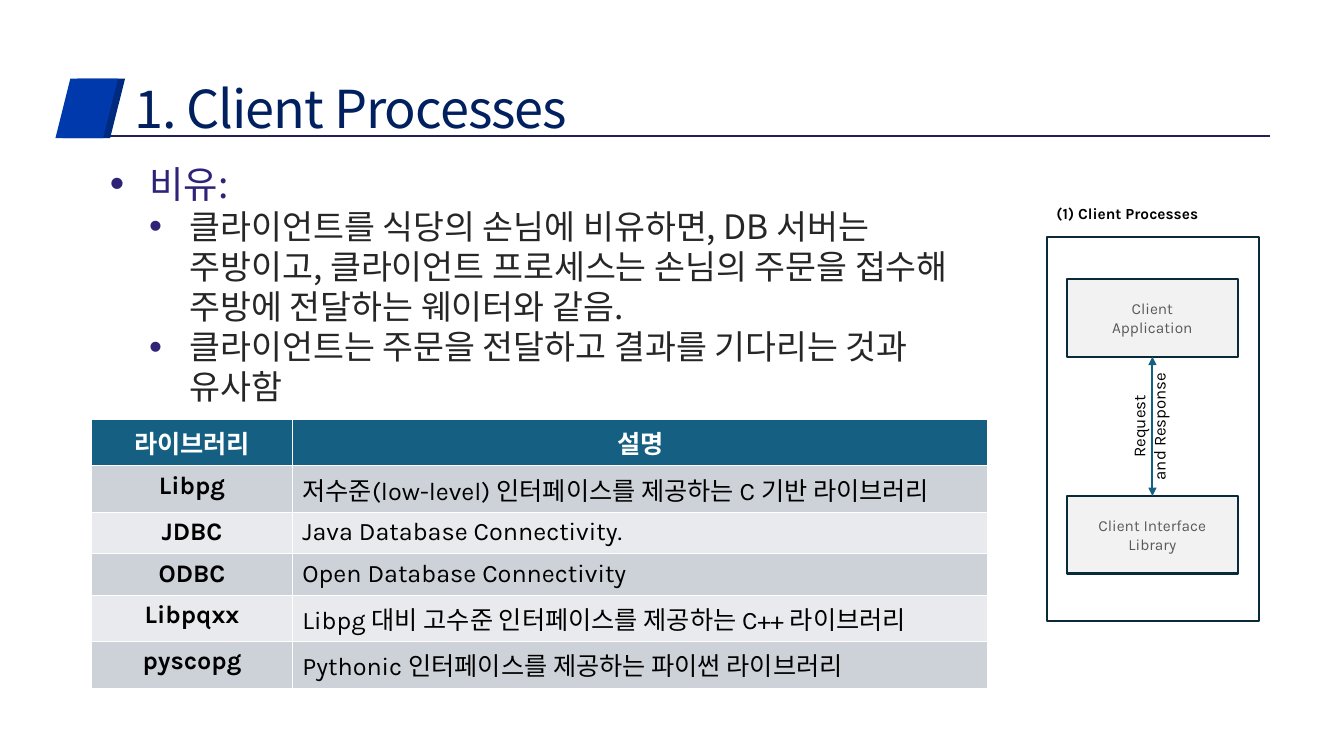
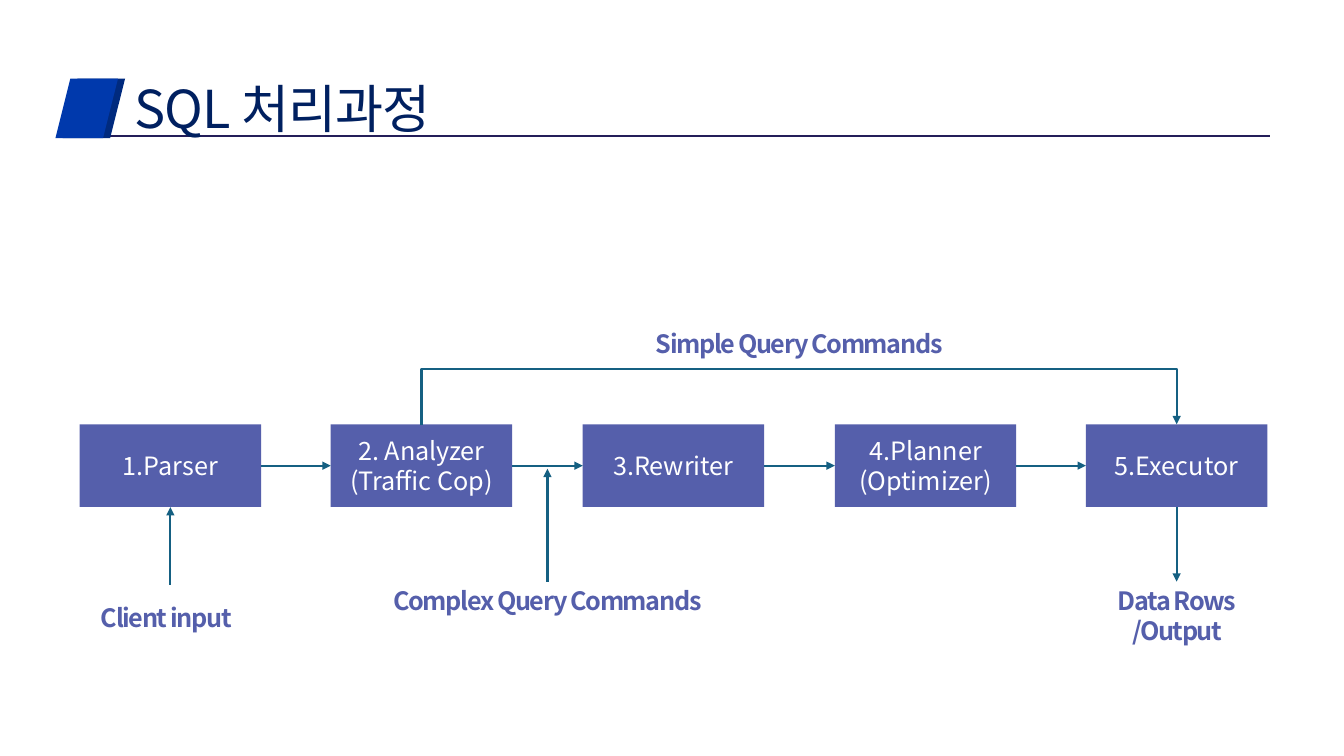
from dataclasses import dataclass

from lxml import etree
from pptx import Presentation
from pptx.dml.color import RGBColor
from pptx.enum.shapes import MSO_CONNECTOR, MSO_SHAPE
from pptx.enum.text import MSO_ANCHOR, MSO_AUTO_SIZE, PP_ALIGN
from pptx.oxml.ns import qn
from pptx.util import Pt

LEFT, CENTER = PP_ALIGN.LEFT, PP_ALIGN.CENTER
TOP, MIDDLE = MSO_ANCHOR.TOP, MSO_ANCHOR.MIDDLE
RECTANGLE, SLANT = MSO_SHAPE.RECTANGLE, MSO_SHAPE.PARALLELOGRAM
STRAIGHT, ELBOW = MSO_CONNECTOR.STRAIGHT, MSO_CONNECTOR.ELBOW
FIXED = MSO_AUTO_SIZE.NONE
EMU_PER_PX = 9144


@dataclass(frozen=True)
class Style:
    size: float
    color: str
    font: str
    bold: bool = False
    tracking: float = 0
    leading: float | None = None


class Theme:
    sans, latin = "Noto Sans CJK KR", "Karla"
    rule, slant_dark, slant = "241E59", "002A7E", "0039AC"
    arrow, outline, panel, stage = "156082", "092A39", "F2F2F2", "555FAB"
    bullet, head = "2F2378", "156082"
    bands = ("CCD2D8", "E8EAED")
    line_width = 1.5
    title = Style(37.3, "002060", sans, tracking=-0.7, leading=0.9)
    topic = Style(26.7, bullet, sans, leading=Pt(31.8))
    point = Style(24, "262626", sans, leading=Pt(28.7))
    cell_head = Style(18, "FFFFFF", latin, bold=True)
    cell_key = Style(18, "000000", latin, bold=True)
    cell = Style(18, "000000", latin)
    node = Style(11, "595959", latin)
    caption = Style(11, "000000", latin, bold=True)
    side = Style(12, "000000", latin)
    step = Style(18, "FFFFFF", sans, leading=Pt(21.5))
    label = Style(18, stage, sans, bold=True, tracking=-1, leading=Pt(21.5))


def px(*lengths):
    return [round(length * EMU_PER_PX) for length in lengths]


def rgb(color):
    return RGBColor.from_string(color)


def format_para(para, style, align=LEFT):
    para.alignment = align
    para.space_before = para.space_after = Pt(0)
    if style.leading:
        para.line_spacing = style.leading
    for span in para.runs:
        font = span.font
        font.size, font.bold, font.name = Pt(style.size), style.bold, style.font
        font.color.rgb = rgb(style.color)
        properties = font._element if hasattr(font, "_element") else span._r.get_or_add_rPr()
        etree.SubElement(properties, qn("a:ea"), typeface=Theme.sans)
        if style.tracking:
            properties.set("spc", str(round(style.tracking * 100)))


def write(frame, text, style, align=LEFT, anchor=TOP, insets=(10, 5, 10, 5), wrap=True):
    frame.text = text
    frame.auto_size, frame.word_wrap, frame.vertical_anchor = FIXED, wrap, anchor
    (frame.margin_left, frame.margin_top,
     frame.margin_right, frame.margin_bottom) = px(*insets)
    for para in frame.paragraphs:
        format_para(para, style, align)


def add_block(page, box, fill=None, line=None, kind=RECTANGLE):
    shape = page.shapes.add_shape(kind, *px(*box))
    shape.shadow.inherit = False
    if fill:
        shape.fill.solid()
        shape.fill.fore_color.rgb = rgb(fill)
    else:
        shape.fill.background()
    if line:
        shape.line.color.rgb = rgb(line)
        shape.line.width = Pt(Theme.line_width)
    else:
        shape.line.fill.background()
    return shape


def add_label(page, box, text, style, align=CENTER, insets=(4, 4, 4, 0)):
    label = page.shapes.add_textbox(*px(*box))
    write(label.text_frame, text, style, align, insets=insets, wrap=False)
    return label


def add_line(page, ends, color=Theme.arrow, heads=("tailEnd",), kind=STRAIGHT):
    line = page.shapes.add_connector(kind, *px(*ends))
    line.line.color.rgb = rgb(color)
    line.line.width = Pt(Theme.line_width)
    outline = line.element.find(".//" + qn("a:ln"))
    for head in heads:
        etree.SubElement(outline, qn("a:" + head), type="triangle")
    etree.SubElement(line.element.spPr, qn("a:effectLst"))
    return line


def add_bypass(page, start, end, base, rise):
    middle, span = (start + end) // 2, end - start
    top = base - span // 2
    line = add_line(page, (middle, top, middle + 1, top + span), kind=ELBOW)
    frame = line.element.find(".//" + qn("a:xfrm"))
    for name, value in (("rot", "5400000"), ("flipH", "1"), ("flipV", "1")):
        frame.set(name, value)
    adjustments = line.element.find(".//" + qn("a:avLst"))
    etree.SubElement(adjustments, qn("a:gd"), name="adj1", fmla=f"val {rise * 100000}")


def add_banner(deck, page):
    parts = [add_line(page, (78, 135, 1260, 135), Theme.rule, heads=())]
    for left, color in ((62, Theme.slant_dark), (55, Theme.slant)):
        parts.append(add_block(page, (left, 78, 62, 59), color, kind=SLANT))
    for part in parts:
        deck.slide_master.shapes.element.append(part.element)


def place(shape, box):
    shape.left, shape.top, shape.width, shape.height = px(*box)


def add_page(deck, layout, title):
    page = deck.slides.add_slide(deck.slide_layouts[layout])
    place(page.shapes.title, (125, 77, 1134, 59))
    write(page.shapes.title.text_frame, title, Theme.title, anchor=MIDDLE, insets=(8, 8, 8, 0))
    return page


def fill_body(body, box, items):
    place(body, box)
    frame = body.text_frame
    write(frame, "\n".join(text for level, text in items), Theme.point, insets=(8, 4, 8, 0))
    for para, (level, text) in zip(frame.paragraphs, items):
        para.level = level
        properties = para._p.get_or_add_pPr()
        indent, = px(39 + level)
        properties.set("marL", str(indent + level * px(39)[0]))
        properties.set("indent", str(-indent))
        color = etree.SubElement(properties, qn("a:buClr"))
        etree.SubElement(color, qn("a:srgbClr"), val=Theme.bullet)
        etree.SubElement(properties, qn("a:buSzPct"), val="110000")
        etree.SubElement(properties, qn("a:buFont"), typeface="Arial")
        etree.SubElement(properties, qn("a:buChar"), char="•")
        if level == 0:
            para.line_spacing = Theme.topic.leading
            for span in para.runs:
                span.font.size = Pt(Theme.topic.size)
                span.font.color.rgb = rgb(Theme.topic.color)


def add_library_table(page, box, widths, heights, rows):
    table = page.shapes.add_table(len(rows), len(widths), *px(*box)).table
    for column, width in zip(table.columns, px(*widths)):
        column.width = width
    for row, height in zip(table.rows, px(*heights)):
        row.height = height
    for i, texts in enumerate(rows):
        for j, text in enumerate(texts):
            cell = table.cell(i, j)
            cell.text = text
            cell.fill.solid()
            cell.fill.fore_color.rgb = rgb(Theme.bands[(i - 1) % 2] if i else Theme.head)
            style = Theme.cell if j else Theme.cell_key
            if i == 0:
                style = Theme.cell_head
            format_para(cell.text_frame.paragraphs[0], style, LEFT if i and j else CENTER)


def add_client_diagram(page, box):
    left, top, width, height = box
    node_width, node_height = 170, 77
    node_left, center = left + 20, left + 105
    first, second = top + 42, top + 257
    add_block(page, box, line=Theme.outline)
    for node_top, text in ((first, "Client\nApplication"), (second, "Client Interface Library")):
        node = add_block(page, (node_left, node_top, node_width, node_height),
                         Theme.panel, Theme.outline)
        write(node.text_frame, text, Theme.node, CENTER, MIDDLE)
    add_label(page, (left, top - 37, 164, 29), "(1) Client Processes", Theme.caption,
              LEFT, (10, 5, 10, 5))
    add_line(page, (center, first + node_height, center, second), heads=("headEnd", "tailEnd"))
    side = add_label(page, (left + 38, top + 163, 127, 50), "Request\vand Response",
                     Theme.side, insets=(10, 5, 10, 5))
    side.rotation = 270


def add_pipeline(page, box, stages):
    left, top, width, height = box
    stage_width = 180
    pitch = (width - stage_width) / (len(stages) - 1)
    lefts = [round(left + i * pitch) for i in range(len(stages))]
    centers = [stage_left + stage_width // 2 for stage_left in lefts]
    middle, bottom = top + height // 2, top + height
    for stage_left, text in zip(lefts, stages):
        stage = add_block(page, (stage_left, top, stage_width, height), Theme.stage)
        write(stage.text_frame, text, Theme.step, CENTER, MIDDLE)
    for start, end in zip(lefts, lefts[1:]):
        add_line(page, (start + stage_width, middle, end, middle))
    complex_x = (lefts[1] + stage_width + lefts[2]) // 2
    for ends in ((centers[0], bottom + 77, centers[0], bottom),
                 (complex_x, bottom + 74, complex_x, middle + 3),
                 (centers[-1], bottom, centers[-1], bottom + 74)):
        add_line(page, ends)
    add_bypass(page, centers[1], centers[-1], top, 57)
    for center, label_top, label_width, label_height, text in (
            (centers[0] - 4, bottom + 91, 164, 34, "Client input"),
            (complex_x, bottom + 74, 386, 34, "Complex Query Commands"),
            ((centers[1] + centers[-1]) // 2, top - 99, 355, 34, "Simple Query Commands"),
            (centers[-1], bottom + 74, 157, 65, "Data Rows\n/Output")):
        add_label(page, (center - label_width // 2, label_top, label_width, label_height),
                  text, Theme.label)


def build_client_page(deck):
    page = add_page(deck, 1, "1. Client Processes")
    fill_body(page.placeholders[1], (101, 156, 879, 219), (
        (0, "비유:"),
        (1, "클라이언트를 식당의 손님에 비유하면, DB 서버는 주방이고, "
            "클라이언트 프로세스는 손님의 주문을 접수해 주방에 전달하는 웨이터와 같음."),
        (1, "클라이언트는 주문을 전달하고 결과를 기다리는 것과 유사함")))
    add_library_table(page, (91, 416, 889, 265), (199, 690), (45, 46, 41, 41, 46, 46), (
        ("라이브러리", "설명"),
        ("Libpg", "저수준(low-level) 인터페이스를 제공하는 C 기반 라이브러리"),
        ("JDBC", "Java Database Connectivity."),
        ("ODBC", "Open Database Connectivity"),
        ("Libpqxx", "Libpg 대비 고수준 인터페이스를 제공하는 C++ 라이브러리"),
        ("pyscopg", "Pythonic 인터페이스를 제공하는 파이썬 라이브러리")))
    add_client_diagram(page, (1038, 235, 211, 381))
    return page


def build_pipeline_page(deck):
    page = add_page(deck, 5, "SQL 처리과정")
    add_pipeline(page, (79, 421, 1178, 82), (
        "1.Parser", "2. Analyzer\n(Traffic Cop)", "3.Rewriter",
        "4.Planner\n(Optimizer)", "5.Executor"))


def main():
    deck = Presentation()
    deck.slide_width, deck.slide_height = px(1333, 750)
    add_banner(deck, build_client_page(deck))
    build_pipeline_page(deck)
    deck.save("out.pptx")


if __name__ == "__main__":
    main()
